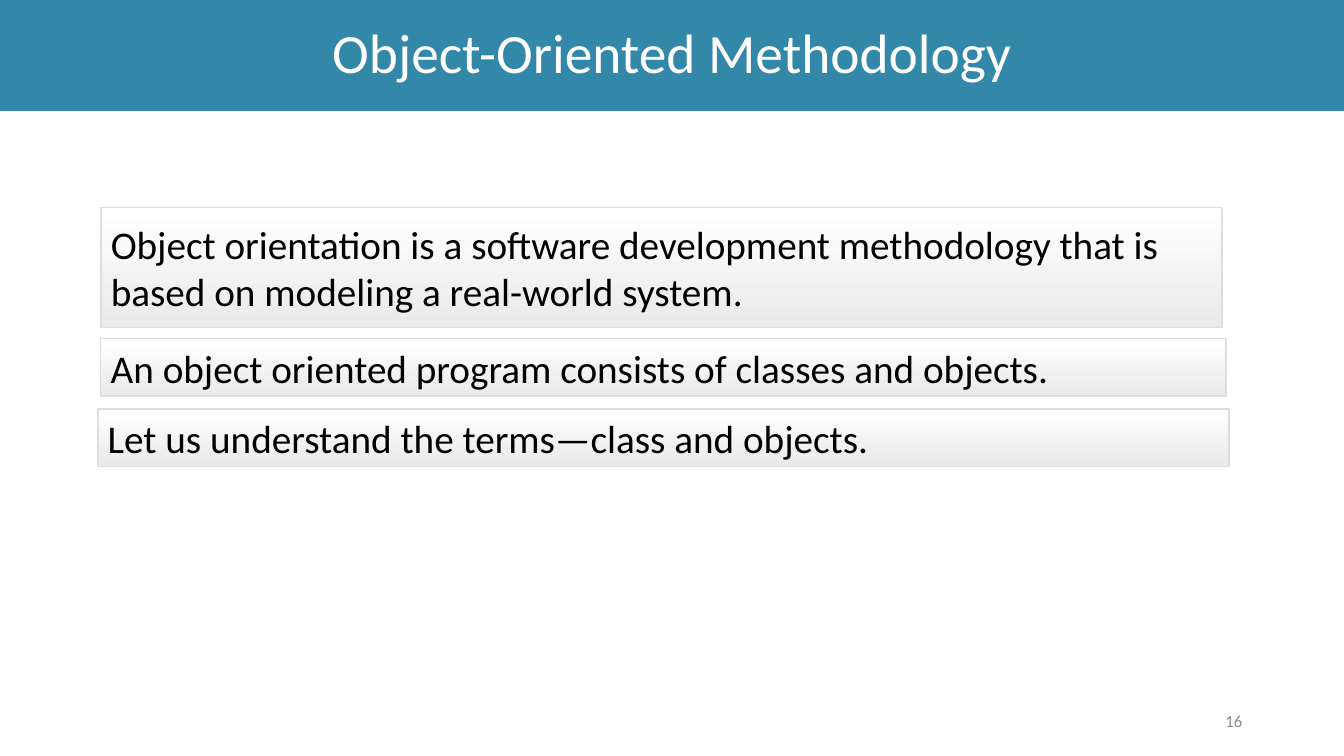
from pptx import Presentation
from pptx.dml.color import RGBColor
from pptx.enum import shapes, text
from pptx.util import Inches, Pt

TEAL = RGBColor(0x33, 0x88, 0xA9)
WHITE = RGBColor(0xFF, 0xFF, 0xFF)
BLACK = RGBColor(0, 0, 0)
GREY = RGBColor(0x8C, 0x8C, 0x8C)
PALE = RGBColor(0xEA, 0xEA, 0xEA)
BORDER = RGBColor(0xDD, 0xDD, 0xDD)


def write(sp, content, size, color, align=text.PP_ALIGN.LEFT, spacing=None):
    tf = sp.text_frame
    tf.word_wrap = True
    tf.auto_size = text.MSO_AUTO_SIZE.NONE
    tf.vertical_anchor = text.MSO_ANCHOR.MIDDLE
    p = tf.paragraphs[0]
    p.alignment = align
    p.line_spacing = spacing
    r = p.add_run()
    r.text = content
    r.font.name = "Calibri"
    r.font.size = Pt(size)
    r.font.color.rgb = color


prs = Presentation()
prs.slide_width, prs.slide_height = Inches(13.33), Inches(7.5)
s = prs.slides.add_slide(prs.slide_layouts[5])

# Title band
title = s.shapes.title
title.left, title.top = Inches(0), Inches(0)
title.width, title.height = Inches(13.33), Inches(1.1)
title.fill.solid()
title.fill.fore_color.rgb = TEAL
write(title, "Object-Oriented Methodology", 39.6, WHITE,
      align=text.PP_ALIGN.CENTER, spacing=0.9)

# Slide number
number = s.shapes.add_textbox(Inches(9.42), Inches(6.95), Inches(3), Inches(0.4))
write(number, "16", 12, GREY, align=text.PP_ALIGN.RIGHT)

# Statement boxes: left, top, width, height, wording
statements = [
    (1, 2.06, 11.12, 1.19, "Object orientation is a software development methodology "
                           "that is based on modeling a real-world system."),
    (1, 3.36, 11.16, 0.57, "An object oriented program consists of classes and objects."),
    (0.97, 4.06, 11.22, 0.57, "Let us understand the terms—class and objects."),
]
for *box, wording in statements:
    sp = s.shapes.add_shape(shapes.MSO_SHAPE.RECTANGLE, *map(Inches, box))
    sp.shadow.inherit = False
    sp.fill.gradient()
    sp.fill.gradient_angle = 270
    for stop, color in zip(sp.fill.gradient_stops, (WHITE, PALE)):
        stop.color.rgb = color
    sp.line.color.rgb = BORDER
    sp.line.width = Pt(1)
    write(sp, wording, 28, BLACK)

prs.save("out.pptx")
